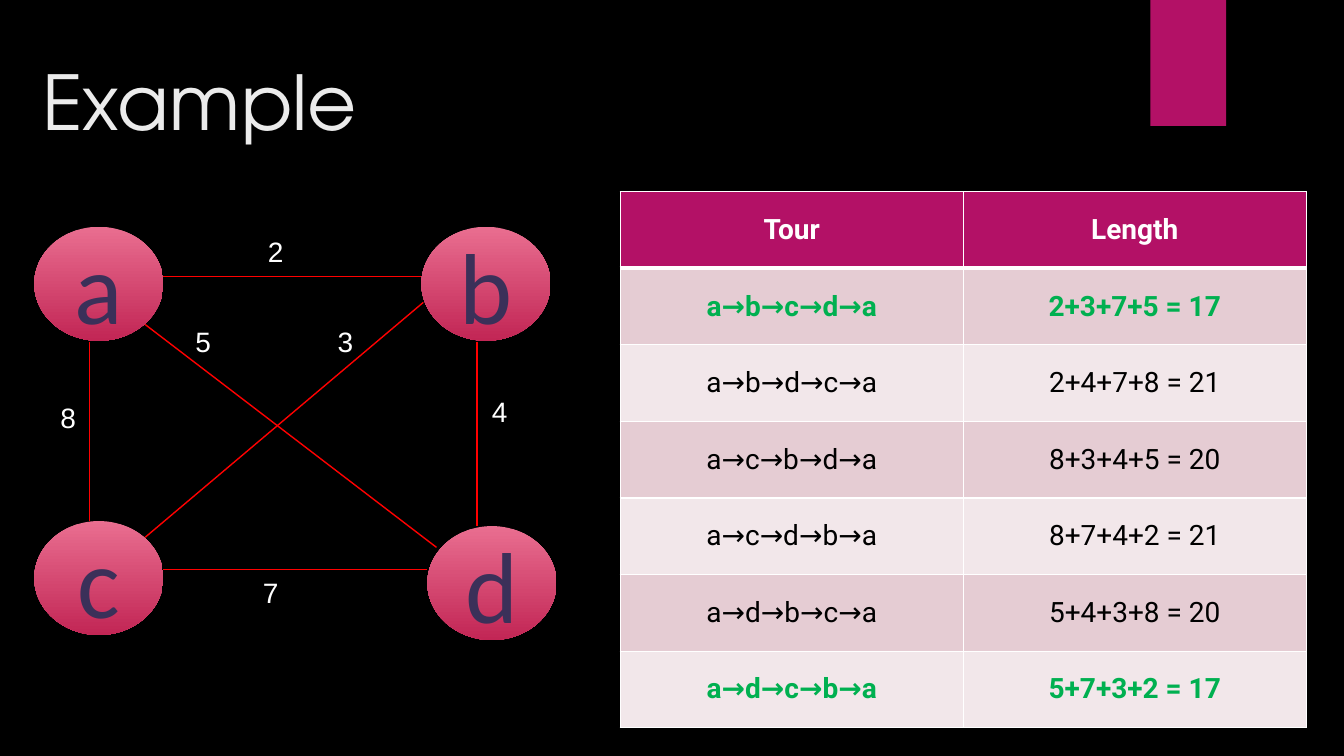
"""Build the tour example slide: a weighted graph beside a table of tour lengths."""
from dataclasses import dataclass

import lxml.etree
import pptx
import pptx.dml.color
import pptx.enum.shapes
import pptx.enum.text
import pptx.oxml.ns
import pptx.util

Pt = pptx.util.Pt
qn = pptx.oxml.ns.qn
SHAPES = pptx.enum.shapes.MSO_SHAPE
ANCHOR = pptx.enum.text.MSO_ANCHOR
ALIGN = pptx.enum.text.PP_ALIGN


@dataclass(frozen=True)
class Theme:
    background: str = "000000"
    accent: str = "B31166"
    title: str = "EBEBEB"
    white: str = "FFFFFF"
    black: str = "000000"
    node_top: str = "E96E90"
    node_bottom: str = "C22655"
    node_text: str = "3B3059"
    edge: str = "FF0000"
    best: str = "00B050"
    bands: tuple = ("E5CCD3", "F2E7EA")
    title_size: int = 54
    node_size: int = 72
    body_size: int = 20


theme = Theme()


def rgb(value):
    return pptx.dml.color.RGBColor.from_string(value)


def write(frame, text, font, size, color, bold=False, align=ALIGN.LEFT):
    frame.text = text
    para = frame.paragraphs[0]
    para.alignment = align
    span = para.runs[0]
    span.font.name = font
    span.font.size = Pt(size)
    span.font.bold = bold
    span.font.color.rgb = rgb(color)


deck = pptx.Presentation()
deck.slide_width, deck.slide_height = Pt(960), Pt(540)
page = deck.slides.add_slide(deck.slide_layouts[6])
page.background.fill.solid()
page.background.fill.fore_color.rgb = rgb(theme.background)

ribbon = page.shapes.add_shape(SHAPES.RECTANGLE, Pt(821.8), Pt(0), Pt(54), Pt(90))
ribbon.shadow.inherit = False
ribbon.fill.solid()
ribbon.fill.fore_color.rgb = rgb(theme.accent)
ribbon.line.fill.background()

title = page.shapes.add_textbox(Pt(23), Pt(36), Pt(768), Pt(63.4))
title.text_frame.word_wrap = True
write(title.text_frame, "Example", "TeX Gyre Adventor", theme.title_size, theme.title)

nodes = {"a": (24.5, 162), "b": (301, 162), "c": (24.5, 372.2), "d": (305.3, 375.8)}
for name, (left, top) in nodes.items():
    node = page.shapes.add_shape(SHAPES.OVAL, Pt(left), Pt(top), Pt(92.2), Pt(81.4))
    node.shadow.inherit = False
    node.fill.gradient()
    node.fill.gradient_angle = 270
    for stop, color in zip(node.fill.gradient_stops, (theme.node_top, theme.node_bottom)):
        stop.color.rgb = rgb(color)
    node.line.fill.background()
    node.text_frame.word_wrap = False
    node.text_frame.vertical_anchor = ANCHOR.MIDDLE
    write(node.text_frame, name, "Calibri", theme.node_size, theme.node_text, align=ALIGN.CENTER)

edges = [
    ("2", (116.6, 197.3), (301, 197.3), (184.3, 164.2)),
    ("8", (64.1, 244.1), (64.1, 372.2), (36, 282.2)),
    ("7", (116.6, 406.8), (305.3, 406.8), (180.7, 407.5)),
    ("4", (340.6, 244.1), (340.6, 375.8), (344.2, 277.9)),
    ("5", (103.7, 231.8), (311.8, 391), (132.5, 228.2)),
    ("3", (302.4, 216), (103.7, 383.8), (234, 228.2)),
]
for weight, start, end, corner in edges:
    edge = page.shapes.add_connector(
        pptx.enum.shapes.MSO_CONNECTOR.STRAIGHT, *map(Pt, start + end))
    edge.line.color.rgb = rgb(theme.edge)
    edge.line.width = Pt(1)
    lxml.etree.SubElement(edge.element.spPr, qn("a:effectLst"))
    label = page.shapes.add_textbox(*map(Pt, corner), Pt(56.2), Pt(60.5))
    label.text_frame.word_wrap = True
    write(label.text_frame, weight, "Arial", theme.body_size, theme.white)

rows = [
    ("Tour", "Length"),
    ("a→b→c→d→a", "2+3+7+5 = 17"),
    ("a→b→d→c→a", "2+4+7+8 = 21"),
    ("a→c→b→d→a", "8+3+4+5 = 20"),
    ("a→c→d→b→a", "8+7+4+2 = 21"),
    ("a→d→b→c→a", "5+4+3+8 = 20"),
    ("a→d→c→b→a", "5+7+3+2 = 17"),
]
best_rows = (1, 6)
table = page.shapes.add_table(
    len(rows), 2, Pt(443), Pt(137), Pt(490.2), Pt(383)).table
for column in table.columns:
    column.width = Pt(245.1)
for index, texts in enumerate(rows):
    table.rows[index].height = Pt(54.7)
    if index == 0:
        fill, color = theme.accent, theme.white
    else:
        fill = theme.bands[(index - 1) % 2]
        color = theme.best if index in best_rows else theme.black
    for column, text in enumerate(texts):
        cell = table.cell(index, column)
        cell.vertical_anchor = ANCHOR.MIDDLE
        write(cell.text_frame, text, "Roboto", theme.body_size, color,
              bold=index == 0 or index in best_rows, align=ALIGN.CENTER)
        properties = cell._tc.get_or_add_tcPr()
        for side in ("lnL", "lnR", "lnT", "lnB"):
            under_header = (index, side) in ((0, "lnB"), (1, "lnT"))
            border = lxml.etree.SubElement(
                properties, qn(f"a:{side}"), w=str(Pt(3 if under_header else 1)))
            paint = lxml.etree.SubElement(border, qn("a:solidFill"))
            lxml.etree.SubElement(paint, qn("a:srgbClr"), val=theme.white)
        cell.fill.solid()
        cell.fill.fore_color.rgb = rgb(fill)

deck.save("out.pptx")
